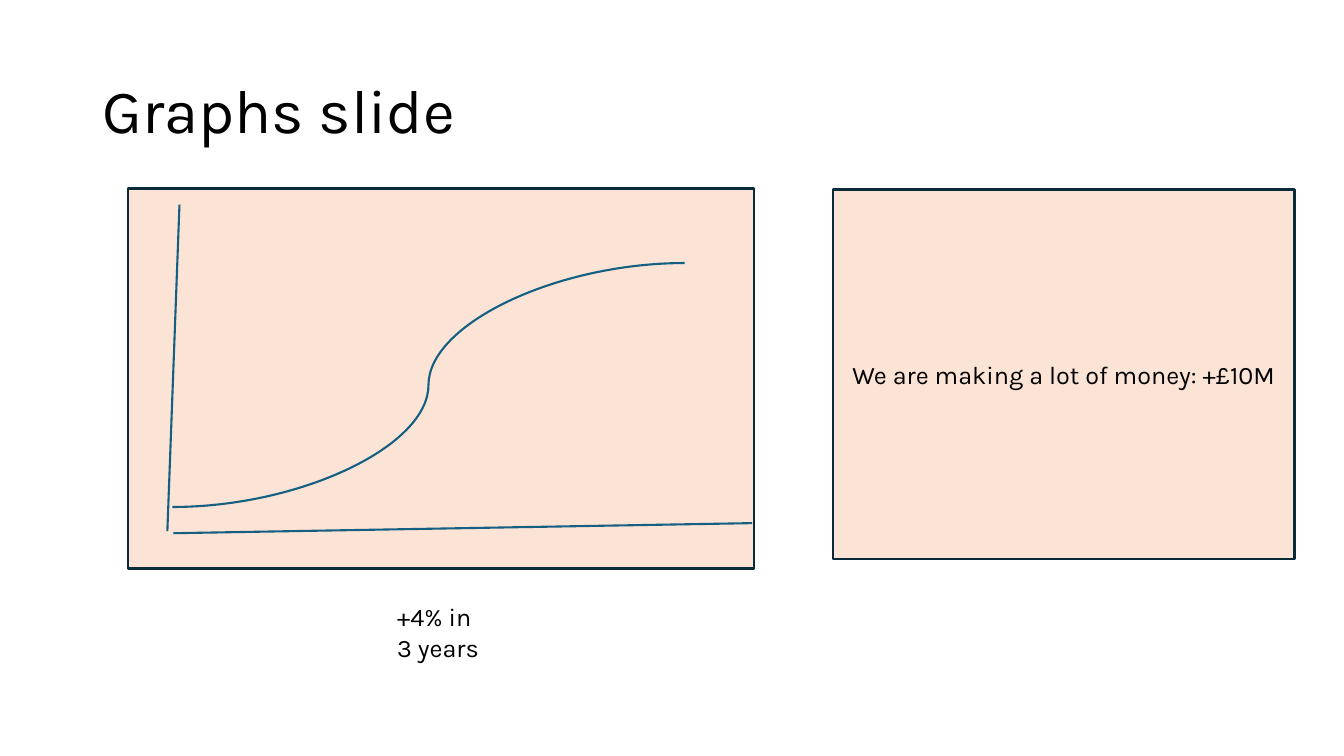
from lxml import etree
from pptx import Presentation
from pptx.dml.color import RGBColor
from pptx.enum.shapes import MSO_CONNECTOR, MSO_SHAPE
from pptx.enum.text import MSO_ANCHOR, MSO_AUTO_SIZE, PP_ALIGN
from pptx.oxml.ns import qn
from pptx.util import Inches, Pt

RECTANGLE = MSO_SHAPE.RECTANGLE
STRAIGHT, CURVE = MSO_CONNECTOR.STRAIGHT, MSO_CONNECTOR.CURVE
LEFT, CENTER = PP_ALIGN.LEFT, PP_ALIGN.CENTER
MIDDLE, TOP = MSO_ANCHOR.MIDDLE, MSO_ANCHOR.TOP

# Content
TITLE = "Graphs slide"
MESSAGE = "We are making a lot of money: +£10M"
CAPTION = "+4% in 3 years"

# Style and places, in inches
FONT = "Karla"
COLORS = {"text": "000000", "panel": "FBE3D6", "border": "092A39", "graph": "156082"}
LINE_WIDTH = 1.5
PAGE_SIZE = (13.33, 7.5)
TITLE_BOX = (0.92, 0.4, 11.5, 1.45)
GRAPH_PANEL = (1.27, 1.87, 6.21, 3.77)
MESSAGE_PANEL = (8.26, 1.88, 4.58, 3.67)
CAPTION_BOX = (3.84, 5.92, 1.06, 0.71)
GRAPH_LINES = [
    (STRAIGHT, (1.78, 2.03), (1.66, 5.27)),  # vertical axis
    (STRAIGHT, (1.72, 5.29), (7.46, 5.19)),  # horizontal axis
    (CURVE, (1.71, 5.03), (6.79, 2.61)),  # growth
]


def color(name):
    return RGBColor.from_string(COLORS[name])


def inches(values):
    return [Inches(value) for value in values]


def write(shape, text, size=18, align=LEFT, anchor=TOP, spacing=1.0,
          fit=MSO_AUTO_SIZE.NONE):
    frame = shape.text_frame
    frame.word_wrap = True
    frame.auto_size = fit
    frame.vertical_anchor = anchor
    para = frame.paragraphs[0]
    para.alignment = align
    para.line_spacing = spacing
    span = para.add_run()
    span.text = text
    span.font.name = FONT
    span.font.size = Pt(size)
    span.font.color.rgb = color("text")


def outline(shape, name):
    shape.line.color.rgb = color(name)
    shape.line.width = Pt(LINE_WIDTH)


def add_panel(page, place):
    panel = page.shapes.add_shape(RECTANGLE, *inches(place))
    panel.shadow.inherit = False
    panel.fill.solid()
    panel.fill.fore_color.rgb = color("panel")
    outline(panel, "border")
    return panel


def add_graph_line(page, kind, start, end):
    line = page.shapes.add_connector(kind, *inches(start + end))
    outline(line, "graph")
    etree.SubElement(line._element.spPr, qn("a:effectLst"))


def main():
    deck = Presentation()
    deck.slide_width, deck.slide_height = inches(PAGE_SIZE)
    page = deck.slides.add_slide(deck.slide_layouts.get_by_name("Title Only"))

    # Title
    title = page.shapes.title
    title.left, title.top, title.width, title.height = inches(TITLE_BOX)
    write(title, TITLE, size=44, anchor=MIDDLE, spacing=0.9)

    # Panels and graph
    message = add_panel(page, MESSAGE_PANEL)
    write(message, MESSAGE, align=CENTER, anchor=MIDDLE)
    add_panel(page, GRAPH_PANEL)
    for kind, start, end in GRAPH_LINES:
        add_graph_line(page, kind, start, end)

    # Caption under the graph
    caption = page.shapes.add_textbox(*inches(CAPTION_BOX))
    write(caption, CAPTION, fit=MSO_AUTO_SIZE.SHAPE_TO_FIT_TEXT)

    deck.save("out.pptx")


if __name__ == "__main__":
    main()
